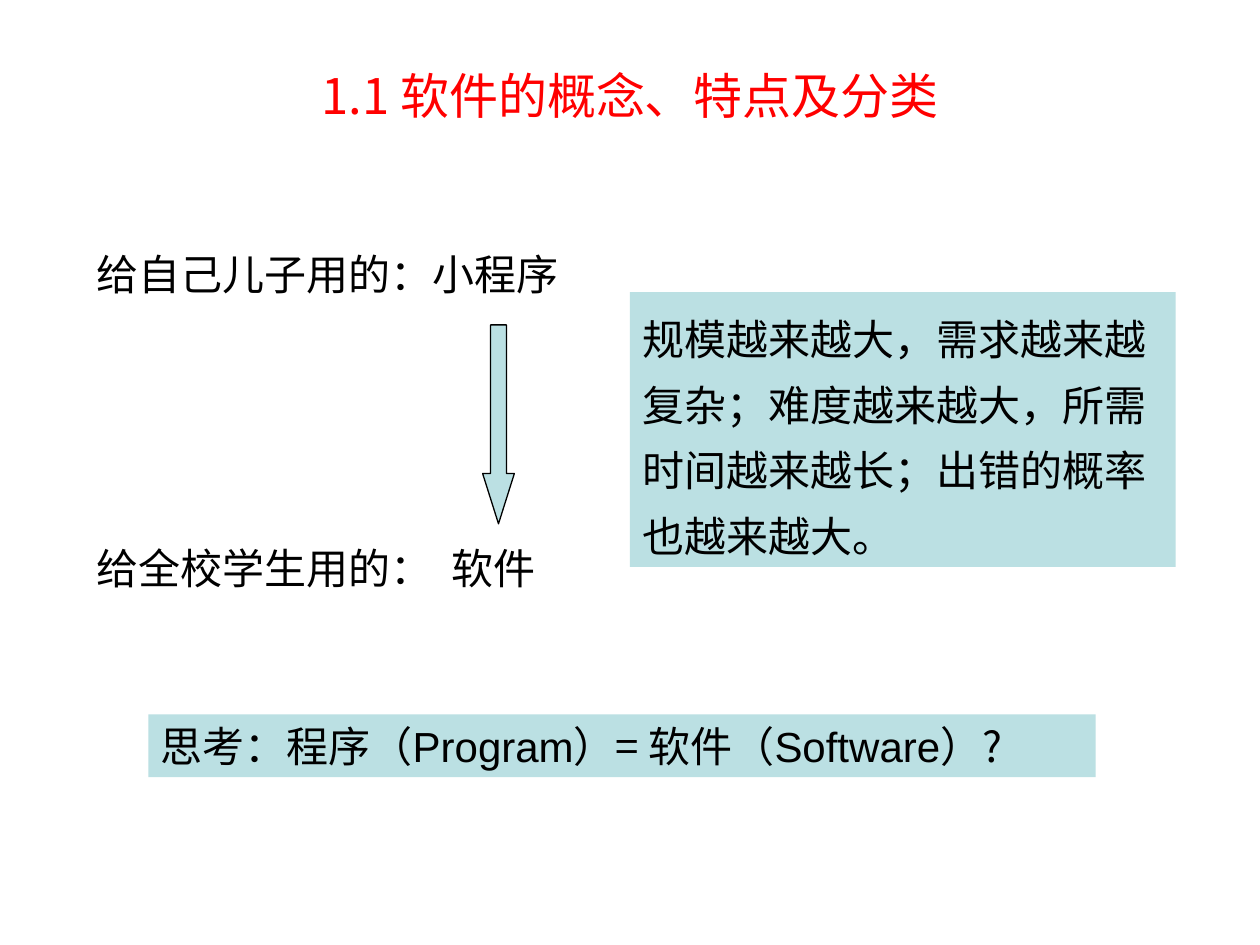
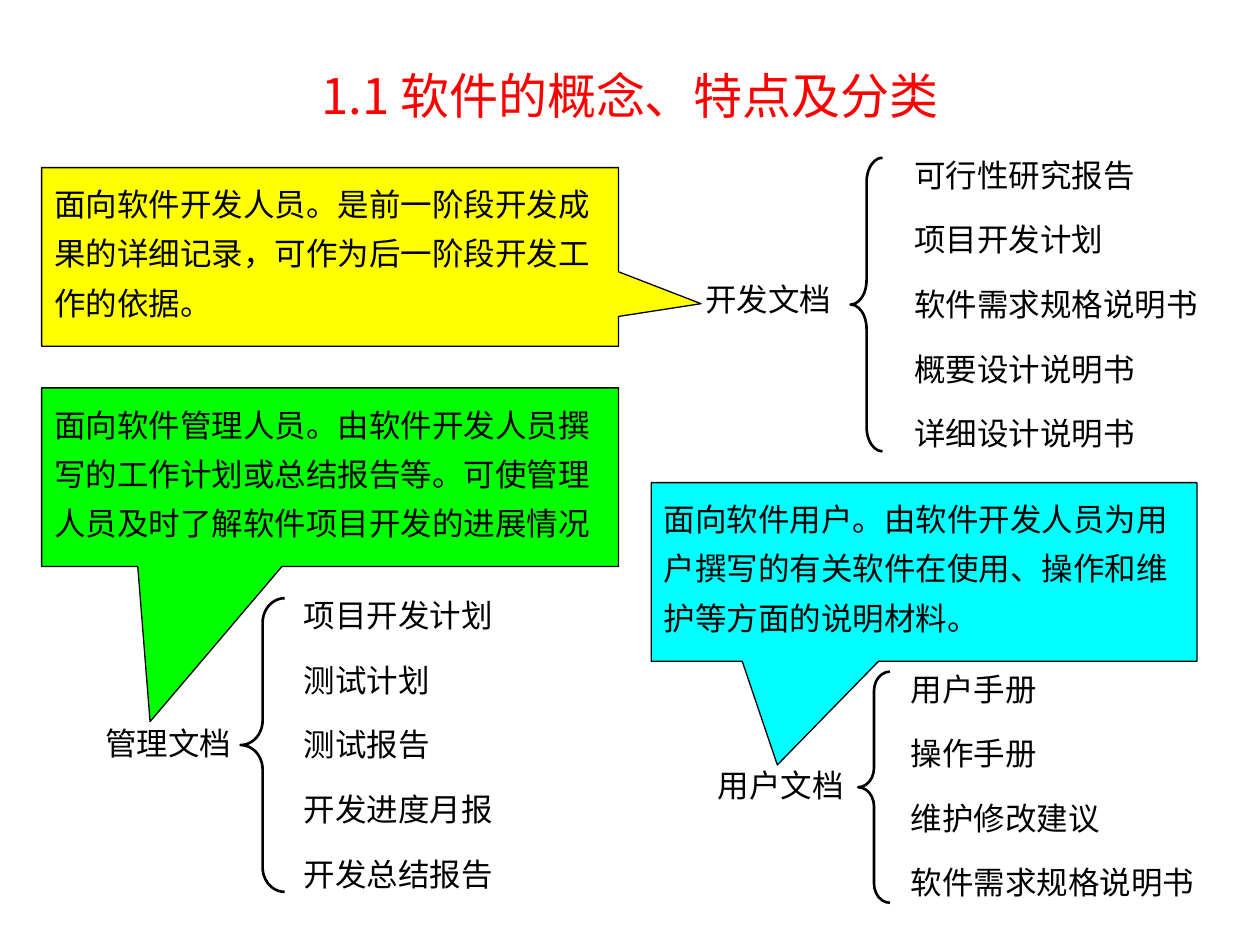
from pptx import Presentation
from pptx import util as u
from pptx.dml import color
from pptx.enum import shapes, text
from pptx.oxml import ns
from lxml import etree

CJK, LATIN, SERIF = "Noto Sans CJK SC", "Arial", "Times New Roman"
BLACK, WHITE, RED, PALE = "000000", "FFFFFF", "FF0000", "BBE0E3"
TITLE = "1.1 软件的概念、特点及分类"
INSETS = (0.25, 0.13, 0.25, 0.13)
NO_INSETS = (0, 0, 0, 0)
CALLOUT_HEIGHT = 3.6
LIST_RISE = 0.42
KIND = shapes.MSO_SHAPE


def rgb(value):
    return color.RGBColor.from_string(value)


def cm(*values):
    return [u.Cm(value) for value in values]


def write(part, paragraphs, size=18, colour=BLACK, align="LEFT", spacing=1.0,
          before=0, insets=INSETS, anchor="TOP", wrap=True, grow=False, tab=None):
    frame = part.text_frame
    frame.word_wrap = wrap
    frame.auto_size = getattr(text.MSO_AUTO_SIZE, "SHAPE_TO_FIT_TEXT" if grow else "NONE")
    frame.vertical_anchor = getattr(text.MSO_ANCHOR, anchor)
    (frame.margin_left, frame.margin_top,
     frame.margin_right, frame.margin_bottom) = cm(*insets)
    for index, pieces in enumerate(paragraphs):
        paragraph = frame.paragraphs[0] if index == 0 else frame.add_paragraph()
        paragraph.alignment = getattr(text.PP_ALIGN, align)
        paragraph.line_spacing = spacing
        paragraph.space_before = u.Pt(before if index else 0)
        if tab:
            stops = etree.SubElement(paragraph._p.get_or_add_pPr(), ns.qn("a:tabLst"))
            etree.SubElement(stops, ns.qn("a:tab"), pos=str(u.Cm(tab)), algn="l")
        for words, font in pieces:
            run = paragraph.add_run()
            run.text = words
            run.font.size = u.Pt(size)
            run.font.name = font
            run.font.color.rgb = rgb(colour)
            etree.SubElement(run._r.get_or_add_rPr(), ns.qn("a:ea"), typeface=CJK)


def add_part(slide, kind, box, fill=None, line=None, weight=0.75, adjust=()):
    part = slide.shapes.add_shape(kind, *cm(*box))
    part.shadow.inherit = False
    if fill:
        part.fill.solid()
        part.fill.fore_color.rgb = rgb(fill)
    else:
        part.fill.background()
    if line:
        part.line.color.rgb = rgb(line)
        part.line.width = u.Pt(weight)
    else:
        part.line.fill.background()
    for index, value in enumerate(adjust):
        part.adjustments[index] = value
    return part


def add_titled_slide(deck):
    slide = deck.slides.add_slide(deck.slide_layouts[5])
    title = slide.shapes.title
    title.left, title.top, title.width, title.height = cm(1.27, 0.64, 22.86, 2.54)
    write(title, [[(TITLE, CJK)]], size=28, colour=RED, align="CENTER", anchor="MIDDLE")
    return slide


def draw_growth(slide, box):
    left, top, width, height = box
    audiences = slide.shapes.add_textbox(*cm(*box))
    write(audiences, [[("给自己儿子用的：小程序", LATIN)], [("给全校学生用的：\t软件", LATIN)]],
          size=24, before=139, tab=7.15)
    add_part(slide, KIND.DOWN_ARROW, (left + 8.03, top + 1.67, 0.64, 4.01),
             PALE, BLACK, adjust=(0.5, 1.583))


def draw_note(slide, box, pieces, **style):
    note = add_part(slide, KIND.RECTANGLE, box, PALE)
    write(note, [pieces], size=24, grow=True, **style)


def draw_documents(slide, origin, callout, label, brace, listing):
    left, top = origin

    def place(x, y, width, height):
        return left + x, top + y, width, height

    label_part = add_part(slide, KIND.RECTANGLE, place(*label["box"]), label.get("fill"))
    write(label_part, [[(label["name"], label["font"])]], **label["style"])

    x, y, width, height = brace
    add_part(slide, KIND.LEFT_BRACE, place(*brace), line=BLACK, weight=1.5,
             adjust=(height / 12 / width, 0.5))

    gap, list_width, list_height, items = listing
    list_part = add_part(slide, KIND.RECTANGLE,
                         place(x + width + gap, y - LIST_RISE, list_width, list_height), WHITE)
    write(list_part, [[(item, SERIF if index < 2 else LATIN)]
                      for index, item in enumerate(items)],
          spacing=1.5, before=4.5, insets=NO_INSETS)

    callout_width, fill, tip, words = callout
    callout_part = add_part(slide, KIND.RECTANGULAR_CALLOUT,
                            place(0, 0, callout_width, CALLOUT_HEIGHT), fill, BLACK, adjust=tip)
    write(callout_part, [[(words, LATIN)]], spacing=1.3)


def build_program_slide(deck):
    slide = add_titled_slide(deck)
    draw_note(slide, (12.7, 5.89, 11, 5.54),
              [("规模越来越大，需求越来越复杂；难度越来越大，所需时间越来越长；出错的概率也越来越大。", LATIN)],
              spacing=1.3)
    draw_growth(slide, (1.7, 4.88, 10.4, 7.37))
    draw_note(slide, (2.99, 14.4, 19.1, 1.27),
              [("思考：程序（", CJK), ("Program", LATIN), ("）= 软件（", CJK),
               ("Software", LATIN), ("）?", CJK)], wrap=False)


def build_documents_slide(deck):
    slide = add_titled_slide(deck)
    centred = dict(align="CENTER", insets=NO_INSETS)
    draw_documents(
        slide, (0.84, 3.38),
        callout=(11.63, "FFFF00", (0.643, 0.262),
                 "面向软件开发人员。是前一阶段开发成果的详细记录，可作为后一阶段开发工作的依据。"),
        label=dict(name="开发文档", box=(13.13, 1.9, 3.6, 1.24), font=LATIN,
                   style=dict(spacing=1.3)),
        brace=(16.31, -0.2, 0.64, 5.92),
        listing=(0.64, 6.35, 7.42,
                 ["可行性研究报告", "项目开发计划", "软件需求规格说明书", "概要设计说明书", "详细设计说明书"]))
    draw_documents(
        slide, (13.13, 9.73),
        callout=(11, "00FFFF", (-0.269, 1.081),
                 "面向软件用户。由软件开发人员为用户撰写的有关软件在使用、操作和维护等方面的说明材料。"),
        label=dict(name="用户文档", box=(0.84, 5.71, 3.53, 1.07), font=SERIF,
                   fill=WHITE, style=centred),
        brace=(4.17, 3.81, 0.64, 4.66),
        listing=(0.42, 6.35, 5.92, ["用户手册", "操作手册", "维护修改建议", "软件需求规格说明书"]))
    draw_documents(
        slide, (0.84, 7.82),
        callout=(11.63, "00FF00", (-0.312, 1.369),
                 "面向软件管理人员。由软件开发人员撰写的工作计划或总结报告等。可使管理人员及时了解软件项目开发的进展情况"),
        label=dict(name="管理文档", box=(0.86, 6.78, 3.38, 1.04), font=SERIF,
                   fill=WHITE, style=centred),
        brace=(4.01, 4.24, 0.89, 5.92),
        listing=(0.38, 4.65, 6.55,
                 ["项目开发计划", "测试计划", "测试报告", "开发进度月报", "开发总结报告"]))


def main():
    deck = Presentation()
    deck.slide_width, deck.slide_height = cm(25.4, 19.05)
    build_program_slide(deck)
    build_documents_slide(deck)
    deck.save("out.pptx")


if __name__ == "__main__":
    main()
